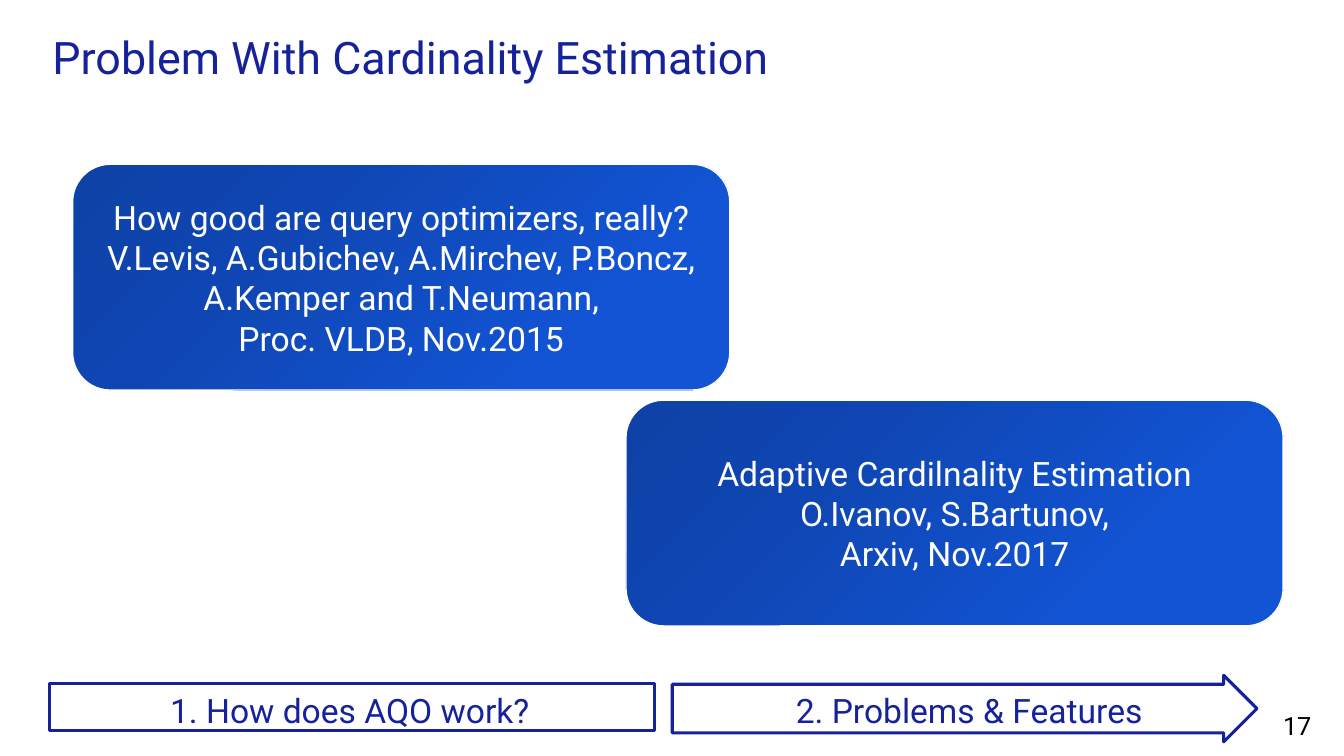
from dataclasses import dataclass

from lxml import etree
from pptx import Presentation
from pptx.dml.color import RGBColor
from pptx.enum.shapes import MSO_SHAPE
from pptx.enum.text import MSO_ANCHOR, PP_ALIGN
from pptx.oxml.ns import qn
from pptx.util import Pt

CENTER, LEFT, RIGHT = PP_ALIGN.CENTER, PP_ALIGN.LEFT, PP_ALIGN.RIGHT
TOP, MIDDLE, BOTTOM = MSO_ANCHOR.TOP, MSO_ANCHOR.MIDDLE, MSO_ANCHOR.BOTTOM
CARD, STEP, ARROW = (MSO_SHAPE.ROUNDED_RECTANGLE, MSO_SHAPE.FLOWCHART_PROCESS,
                     MSO_SHAPE.RIGHT_ARROW)


@dataclass(frozen=True)
class Theme:
    font: str = "Roboto"
    navy: str = "16229A"
    white: str = "FFFFFF"
    black: str = "000000"
    card_stops: tuple = ((0, "1254D4"), (23, "1254D4"), (69, "0F46B3"), (97, "0E42A7"))
    title_size: int = 32
    body_size: int = 24
    number_size: int = 18


THEME = Theme()

PAPERS = [
    ["How good are query optimizers, really?",
     "V.Levis, A.Gubichev, A.Mirchev, P.Boncz,",
     "A.Kemper and T.Neumann,",
     "Proc. VLDB, Nov.2015"],
    ["Adaptive Cardilnality Estimation",
     "O.Ivanov, S.Bartunov,",
     "Arxiv, Nov.2017"],
]


def place(shape, box):
    shape.left, shape.top, shape.width, shape.height = (Pt(value) for value in box)


def write(frame, lines, size, color, align, anchor, margin=None):
    """Fill a text frame with one paragraph per line."""
    frame.word_wrap = True
    frame.vertical_anchor = anchor
    if margin is not None:
        frame.margin_left = frame.margin_right = Pt(margin)
        frame.margin_top = frame.margin_bottom = Pt(margin)
    for index, line in enumerate(lines):
        para = frame.paragraphs[0] if index == 0 else frame.add_paragraph()
        para.alignment = align
        para.space_before = Pt(0)
        span = para.add_run()
        span.text = line
        span.font.name = THEME.font
        span.font.size = Pt(size)
        span.font.color.rgb = RGBColor.from_string(color)


def add_text(page, box, lines, size, color, align, anchor, margin=None):
    text_box = page.shapes.add_textbox(*(Pt(value) for value in box))
    write(text_box.text_frame, lines, size, color, align, anchor, margin)


def add_outline(page, kind, box, color, width):
    shape = page.shapes.add_shape(kind, *(Pt(value) for value in box))
    shape.shadow.inherit = False
    shape.fill.background()
    shape.line.color.rgb = RGBColor.from_string(color)
    shape.line.width = Pt(width)
    return shape


def fill_radial(shape, stops):
    """Circular gradient that spreads from the lower right corner."""
    shape.fill.gradient()
    gradient = shape.fill._xPr.find(qn("a:gradFill"))
    for child in list(gradient):
        gradient.remove(child)
    stop_list = etree.SubElement(gradient, qn("a:gsLst"))
    for percent, color in stops:
        stop = etree.SubElement(stop_list, qn("a:gs"), pos=str(percent * 1000))
        etree.SubElement(stop, qn("a:srgbClr"), val=color)
    circle = etree.SubElement(gradient, qn("a:path"), path="circle")
    etree.SubElement(circle, qn("a:fillToRect"), l="100000", t="100000")


def add_title(page, box, text):
    title = page.shapes.title
    place(title, box)
    write(title.text_frame, [text], THEME.title_size, THEME.navy, LEFT, MIDDLE, 0)
    title.text_frame.paragraphs[0].line_spacing = 0.9


def add_papers(page, box):
    """Two cards running from the upper left to the lower right of the box."""
    left, top, width, height = box
    card_width, card_height = 469.44, 161.28
    for index, lines in enumerate(PAPERS):
        corner = (left + index * (width - card_width), top + index * (height - card_height))
        card = add_outline(page, CARD, (*corner, card_width, card_height), THEME.white, 1)
        fill_radial(card, THEME.card_stops)
        write(card.text_frame, lines, THEME.body_size, THEME.white, CENTER, MIDDLE)


def add_progress(page, box):
    """Section bar: a box for the first part, an arrow for the second."""
    left, top, width, height = box
    step_width, arrow_width = 432, 417.6
    arrow_left = left + width - arrow_width
    add_outline(page, STEP, (left, top + 5.76, step_width, 33.84), THEME.navy, 2.25)
    arrow = add_outline(page, ARROW, (arrow_left, top, arrow_width, height), THEME.navy, 2.25)
    arrow.adjustments[0] = 0.73
    labels = [("1. How does AQO work?", left - 1.44, step_width),
              ("2. Problems & Features", arrow_left + 2.16, 419.76)]
    for text, label_left, label_width in labels:
        add_text(page, (label_left, top + 7.2, label_width, 36), [text],
                 THEME.body_size, THEME.navy, CENTER, TOP)


def main():
    deck = Presentation()
    deck.slide_width, deck.slide_height = Pt(960), Pt(540)
    page = deck.slides.add_slide(deck.slide_layouts[5])
    page.background.fill.solid()
    page.background.fill.fore_color.rgb = RGBColor.from_string(THEME.white)

    add_title(page, (37.44, 27.36, 793.44, 30.96), "Problem With Cardinality Estimation")
    add_papers(page, (51.84, 117.36, 864.72, 329.76))
    add_progress(page, (35.28, 482.4, 862.56, 47.52))
    # Page number
    add_text(page, (846, 514.08, 90.72, 15.12), ["17"],
             THEME.number_size, THEME.black, RIGHT, BOTTOM, 0)
    deck.save("out.pptx")


if __name__ == "__main__":
    main()
